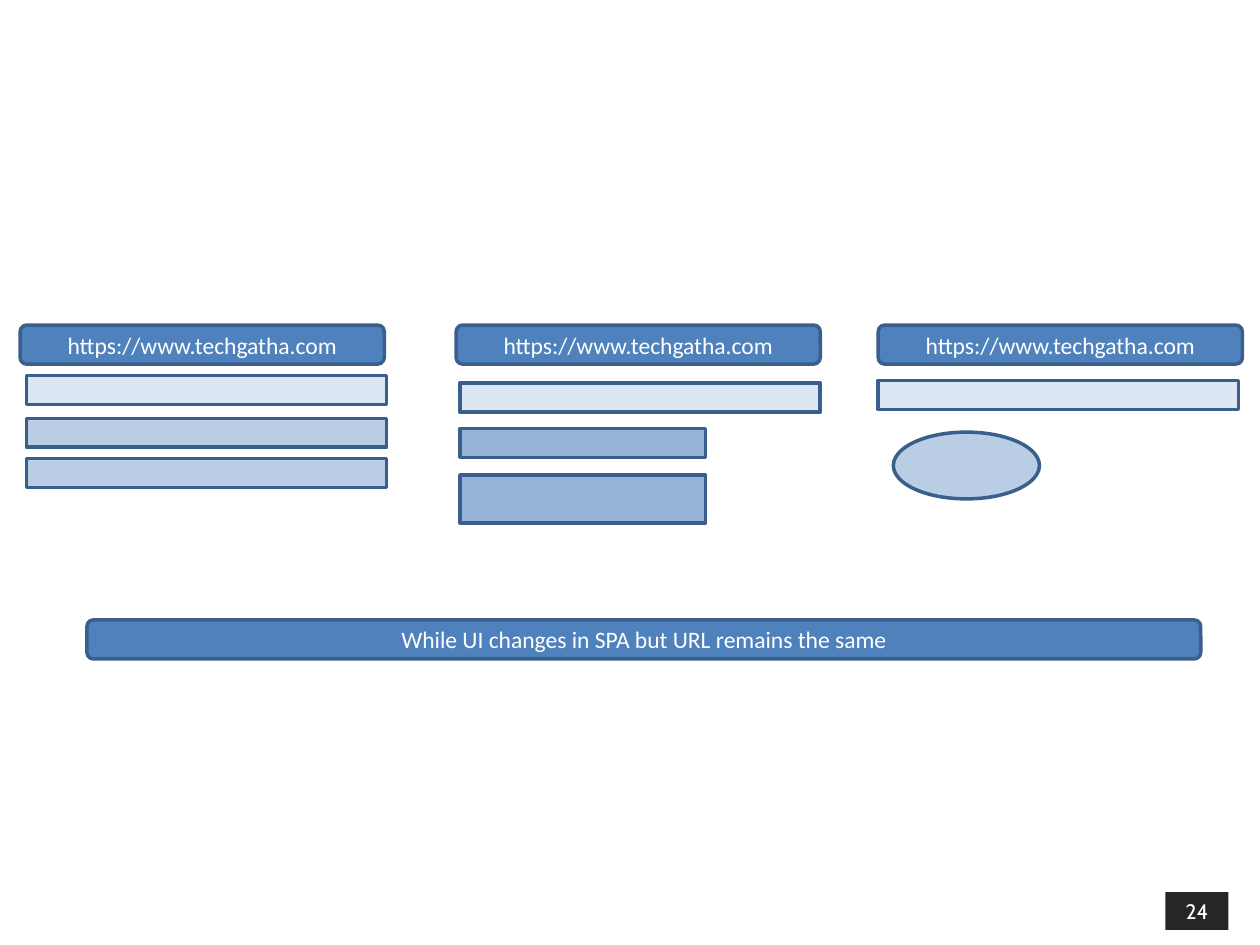
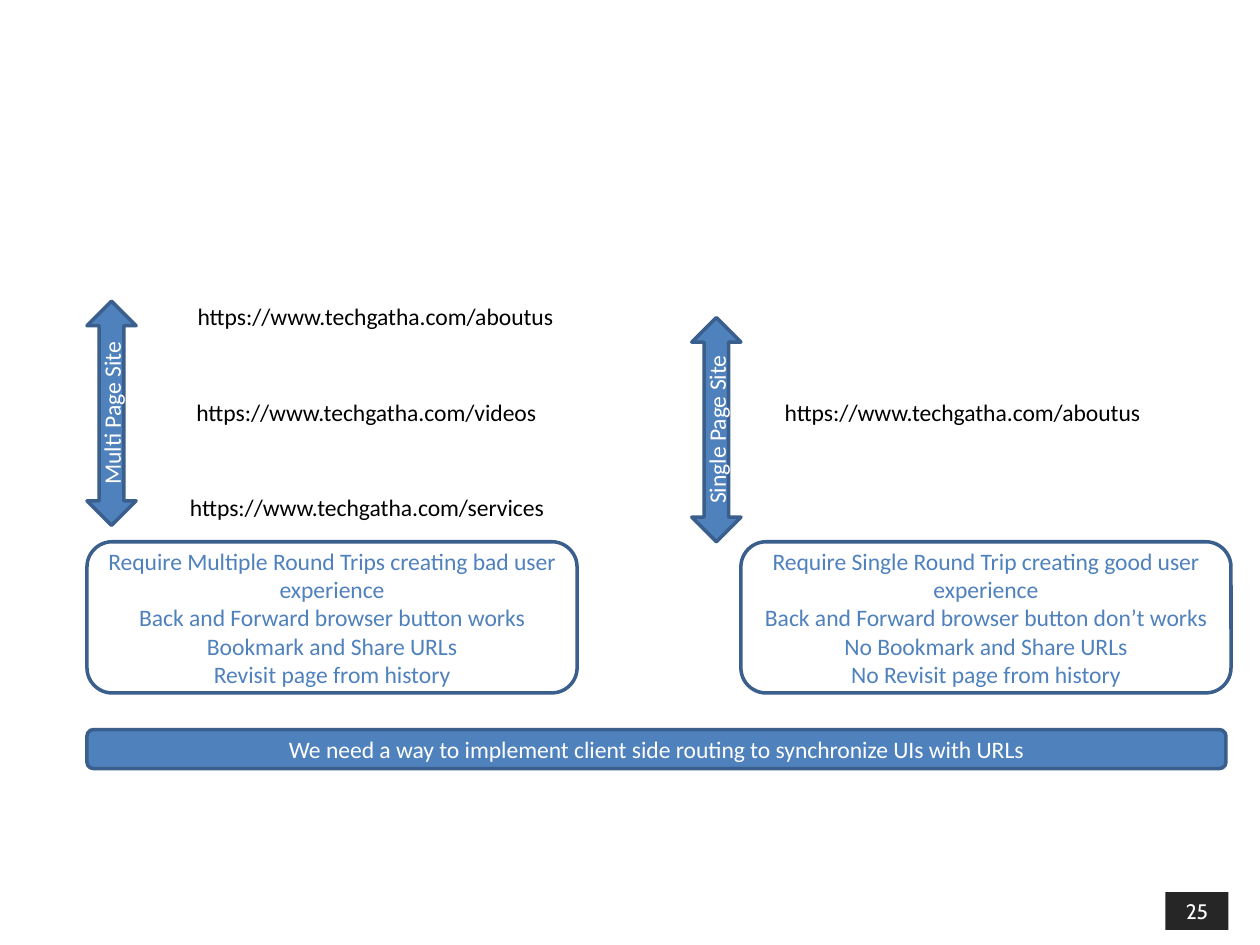
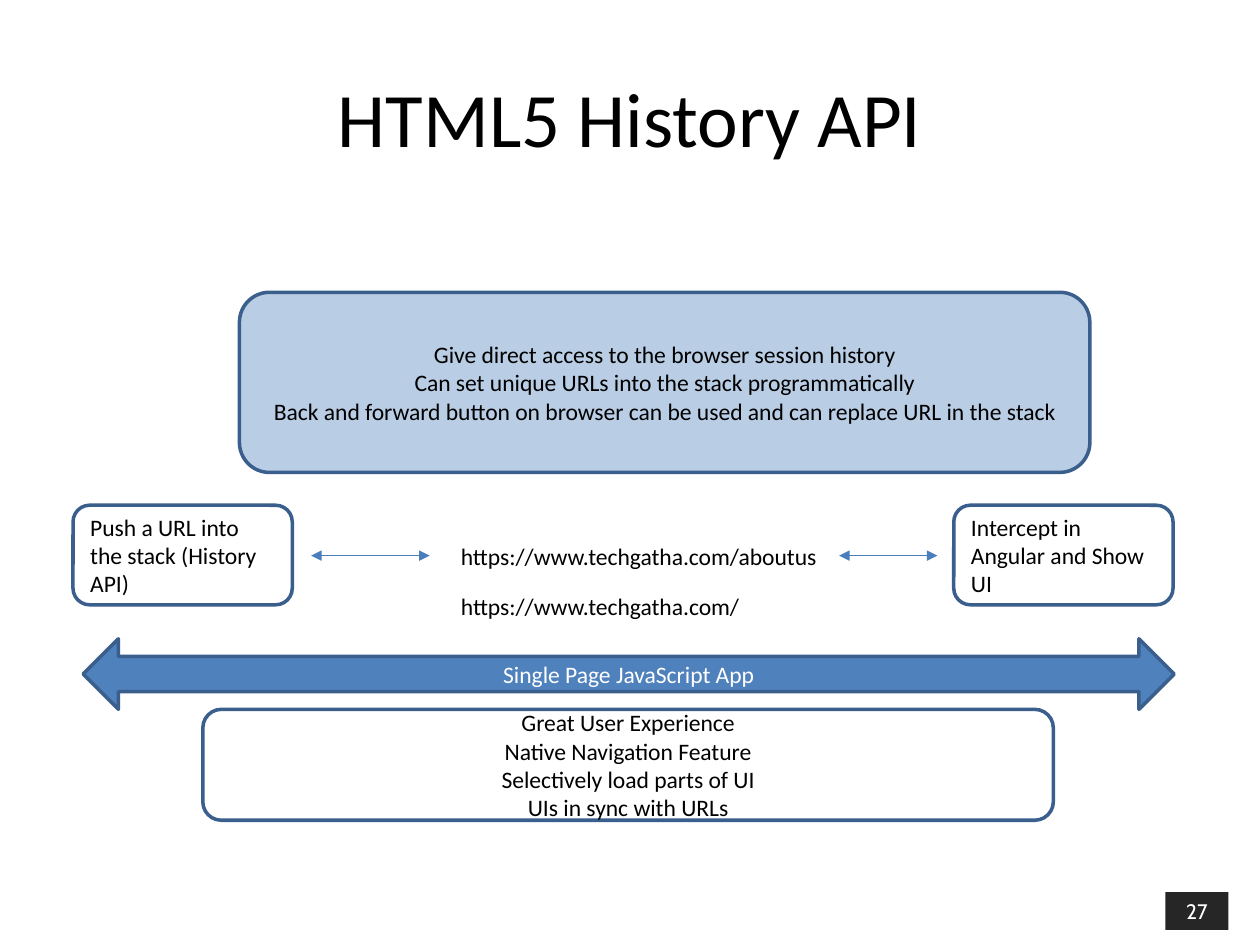
from dataclasses import dataclass
from typing import NamedTuple

from lxml.etree import SubElement
from pptx import Presentation
from pptx.dml.color import RGBColor
from pptx.enum.shapes import MSO_CONNECTOR, MSO_SHAPE as Shape
from pptx.enum.text import MSO_ANCHOR as Anchor, MSO_AUTO_SIZE as AutoSize, PP_ALIGN as Align
from pptx.oxml.ns import qn
from pptx.util import Inches, Pt


@dataclass(frozen=True)
class Theme:
    blue: str = "4F81BD"
    outline: str = "3A5F8C"
    connector: str = "4B7EBC"
    pale: str = "DCE6F2"
    light: str = "B9CDE5"
    medium: str = "95B3D7"
    white: str = "FFFFFF"
    black: str = "000000"
    badge: str = "262626"
    font: str = "Calibri"
    badge_font: str = "Cabin"
    title_size: float = 44
    body_size: float = 13.5
    badge_size: float = 12
    outline_width: float = 2
    connector_width: float = 0.75


THEME = Theme()


class Box(NamedTuple):
    """A region in inches."""
    left: float
    top: float
    width: float
    height: float

    def inside(self, left, top, width, height):
        return Box(self.left + left, self.top + top, width, height)

    def lengths(self):
        return [Inches(value) for value in self]


SITE = "https://www.techgatha.com"
SLIDE = Box(0, 0, 10, 7.5)
BAR_HEIGHT = 0.31


# Shared parts

def write_text(shape, text, color=THEME.white, size=THEME.body_size, font=THEME.font,
               align=Align.CENTER, anchor=Anchor.MIDDLE, wrap=True):
    """Write one paragraph for each line of text."""
    frame = shape.text_frame
    frame.word_wrap = wrap
    frame.vertical_anchor = anchor
    frame.text = text
    for paragraph in frame.paragraphs:
        paragraph.alignment = align
        paragraph.font.size = Pt(size)
        paragraph.font.name = font
        paragraph.font.color.rgb = RGBColor.from_string(color)


def add_block(slide, box, kind=Shape.RECTANGLE, fill=THEME.blue, outline=THEME.outline,
              text=None, **text_format):
    shape = slide.shapes.add_shape(kind, *box.lengths())
    shape.shadow.inherit = False
    shape.fill.solid()
    shape.fill.fore_color.rgb = RGBColor.from_string(fill)
    if outline:
        shape.line.color.rgb = RGBColor.from_string(outline)
        shape.line.width = Pt(THEME.outline_width)
    else:
        shape.line.fill.background()
    if text:
        write_text(shape, text, **text_format)
    return shape


def add_bar(slide, box, text):
    add_block(slide, box, Shape.ROUNDED_RECTANGLE, text=text)


def add_card(slide, box, text, fill=THEME.white, color=THEME.black, **text_format):
    add_block(slide, box, Shape.ROUNDED_RECTANGLE, fill, text=text, color=color, **text_format)


def add_url(slide, box, page):
    label = slide.shapes.add_textbox(*box.lengths())
    write_text(label, SITE + page, color=THEME.black, align=Align.LEFT,
               anchor=Anchor.TOP, wrap=False)
    label.text_frame.auto_size = AutoSize.SHAPE_TO_FIT_TEXT


def add_double_arrow(slide, left, right, y):
    arrow = slide.shapes.add_connector(MSO_CONNECTOR.STRAIGHT, Inches(left), Inches(y),
                                       Inches(right), Inches(y))
    arrow.line.color.rgb = RGBColor.from_string(THEME.connector)
    arrow.line.width = Pt(THEME.connector_width)
    line = arrow.line._get_or_add_ln()
    for end in ("a:headEnd", "a:tailEnd"):
        SubElement(line, qn(end), type="triangle")
    SubElement(arrow._element.spPr, qn("a:effectLst"))


def new_slide(presentation, number):
    slide = presentation.slides.add_slide(presentation.slide_layouts[6])
    # Page number badge
    add_block(slide, SLIDE.inside(9.25, 7.08, 0.5, 0.3), fill=THEME.badge, outline=None,
              text=str(number), size=THEME.badge_size, font=THEME.badge_font,
              anchor=Anchor.TOP)
    return slide


# Slide with one address and three changing interfaces

def add_browser(slide, box, parts):
    """Draw an address bar with interface parts below it."""
    add_bar(slide, box.inside(0, 0, box.width, BAR_HEIGHT), SITE)
    for kind, fill, *place in parts:
        add_block(slide, box.inside(*place), kind, fill)


def build_same_url(presentation):
    slide = new_slide(presentation, 24)
    rectangle = Shape.RECTANGLE
    row = (2.86, 0.23)
    browsers = {
        0.16: [(rectangle, THEME.pale, 0.05, 0.4, *row),
               (rectangle, THEME.light, 0.05, 0.74, *row),
               (rectangle, THEME.light, 0.05, 1.06, *row)],
        3.62: [(rectangle, THEME.pale, 0.03, 0.46, *row),
               (rectangle, THEME.medium, 0.03, 0.82, 1.95, 0.23),
               (rectangle, THEME.medium, 0.03, 1.19, 1.95, 0.38)],
        6.97: [(rectangle, THEME.pale, 0, 0.44, *row),
               (Shape.OVAL, THEME.light, 0.12, 0.85, 1.16, 0.53)],
    }
    for left, parts in browsers.items():
        add_browser(slide, Box(left, 2.58, 2.89, 1.57), parts)
    add_bar(slide, Box(0.69, 4.92, 8.84, BAR_HEIGHT),
            "While UI changes in SPA but URL remains the same")


# Slide comparing the two kinds of site

def add_site(slide, box, name, arrow_top, urls, card_left, effects):
    """Draw a labelled arrow, its addresses and a card of effects."""
    arrow = add_block(slide, box.inside(0, arrow_top, 0.39, 1.78), Shape.UP_DOWN_ARROW, text=name)
    arrow.text_frame._txBody.bodyPr.set("vert", "vert270")
    for page, left, top, width in urls:
        add_url(slide, box.inside(left, top, width, 0.33), page)
    add_card(slide, box.inside(card_left, 1.95, 3.89, 1.2), effects, color=THEME.blue)


def build_comparison(presentation):
    slide = new_slide(presentation, 25)
    add_site(slide, Box(0.69, 2.35, 3.89, 3.15), "Multi Page Site", 0.04,
             [("/aboutus", 0.78, 0, 3.07),
              ("/videos", 0.77, 0.76, 2.95),
              ("/services", 0.72, 1.51, 3.06)], 0,
             "Require Multiple Round Trips creating bad user experience\n"
             "Back and Forward browser button works\n"
             "Bookmark and Share URLs\n"
             "Revisit page from history")
    add_site(slide, Box(5.49, 2.35, 4.28, 3.15), "Single Page Site", 0.17,
             [("/aboutus", 0.64, 0.76, 3.07)], 0.39,
             "Require Single Round Trip creating good user experience\n"
             "Back and Forward browser button don’t works\n"
             "No Bookmark and Share URLs\n"
             "No Revisit page from history")
    add_bar(slide, Box(0.69, 5.79, 9.04, BAR_HEIGHT),
            "We need a way to implement client side routing to synchronize UIs with URLs")


# Slide on the history API

def add_title(slide, box, text):
    title = slide.shapes.add_textbox(*box.lengths())
    write_text(title, text, color=THEME.black, size=THEME.title_size)


def add_url_flow(slide, box):
    """Draw two action cards with the addresses between them."""
    actions = {0: "Push a URL into the stack (History API)",
               box.width - 1.74: "Intercept in Angular and Show UI"}
    for left, action in actions.items():
        add_card(slide, box.inside(left, 0, 1.74, 0.79), action, align=Align.LEFT)
    add_url(slide, box.inside(2.98, 0.24, 3.07, 0.33), "/aboutus")
    add_url(slide, box.inside(2.98, 0.64, 2.45, 0.33), "/")
    for start, end in ((1.89, 2.83), (6.08, 6.86)):
        add_double_arrow(slide, box.left + start, box.left + end, box.top + 0.4)


def build_history_api(presentation):
    slide = new_slide(presentation, 27)
    add_title(slide, Box(0.5, 0.3, 9, 1.25), "HTML5 History API")
    add_card(slide, Box(1.9, 2.32, 6.75, 1.43),
             "Give direct access to the browser session history\n"
             "Can set unique URLs into the stack programmatically\n"
             "Back and forward button on browser can be used and can replace URL in the stack",
             fill=THEME.light)
    add_url_flow(slide, Box(0.58, 4.01, 8.73, 0.97))
    add_block(slide, Box(0.66, 5.07, 8.66, 0.56), Shape.LEFT_RIGHT_ARROW,
              text="Single Page JavaScript App")
    add_card(slide, Box(1.61, 5.63, 6.75, 0.88),
             "Great User Experience\n"
             "Native Navigation Feature\n"
             "Selectively load parts of UI\n"
             "UIs in sync with URLs")


def main():
    presentation = Presentation()
    presentation.slide_width = Inches(SLIDE.width)
    presentation.slide_height = Inches(SLIDE.height)
    for build in (build_same_url, build_comparison, build_history_api):
        build(presentation)
    presentation.save("out.pptx")


if __name__ == "__main__":
    main()
